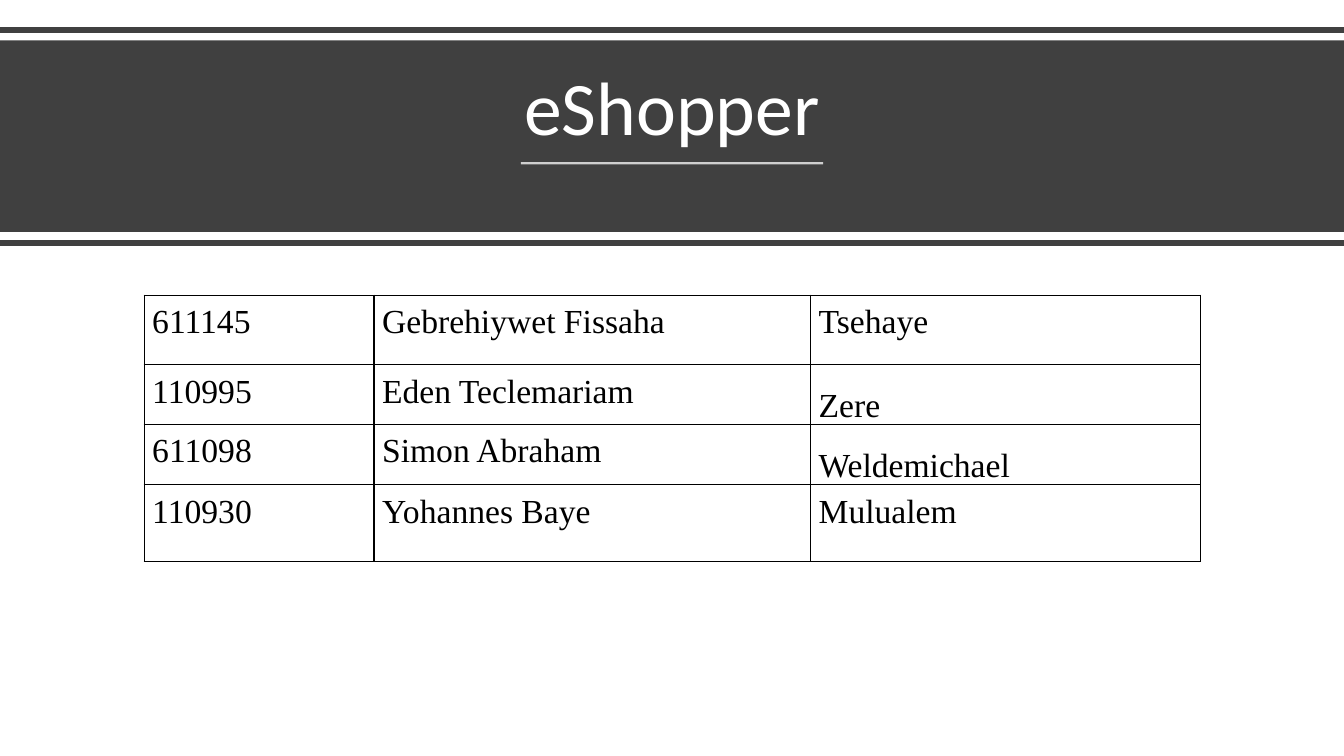
from dataclasses import dataclass

from lxml.etree import SubElement
from pptx import Presentation
from pptx.dml.color import RGBColor
from pptx.enum.shapes import MSO_CONNECTOR, MSO_SHAPE
from pptx.enum.text import MSO_ANCHOR, MSO_AUTO_SIZE, PP_ALIGN
from pptx.oxml.ns import qn
from pptx.util import Inches, Pt


@dataclass(frozen=True)
class Theme:
    """Colours, fonts and type sizes of the slide."""
    band: RGBColor = RGBColor(0x40, 0x40, 0x40)
    light: RGBColor = RGBColor(0xFF, 0xFF, 0xFF)
    ink: RGBColor = RGBColor(0, 0, 0)
    title_font: str = "Calibri"
    member_font: str = "Times New Roman"
    title_size: int = 54
    member_size: int = 24


THEME = Theme()
SLIDE_WIDTH, SLIDE_HEIGHT = 13.33, 7.5
MEMBERS = [
    ("611145", "Gebrehiywet Fissaha", "Tsehaye"),
    ("110995", "Eden Teclemariam", "Zere"),
    ("611098", "Simon Abraham", "Weldemichael"),
    ("110930", "Yohannes Baye", "Mulualem"),
]
COLUMN_WIDTHS = [2.28, 4.33, 3.87]
ROW_HEIGHTS = [0.69, 0.59, 0.6, 0.76]
LOW_SURNAMES = ("Zere", "Weldemichael")


def style_text(paragraph, font, size, color, spacing):
    """Format a whole paragraph."""
    paragraph.font.name = font
    paragraph.font.size = Pt(size)
    paragraph.font.color.rgb = color
    paragraph.line_spacing = spacing


def add_rule(slide, left, top, width, color, weight, opacity=100):
    """Draw a horizontal line without a shadow."""
    rule = slide.shapes.add_connector(
        MSO_CONNECTOR.STRAIGHT, Inches(left), Inches(top), Inches(left + width), Inches(top))
    rule.line.color.rgb = color
    rule.line.width = Pt(weight)
    properties = rule._element.spPr
    if opacity < 100:
        SubElement(next(properties.iter(qn("a:srgbClr"))), qn("a:alpha"), val=str(opacity * 1000))
    SubElement(properties, qn("a:effectLst"))


def add_header(slide, left, top, width, height):
    """Place the dark band, its framing rules and the underlined title."""
    band = slide.shapes.add_shape(
        MSO_SHAPE.RECTANGLE, Inches(left), Inches(top), Inches(width), Inches(height))
    band.shadow.inherit = False
    band.fill.solid()
    band.fill.fore_color.rgb = THEME.band
    band.line.fill.background()
    for rule_top in (top - 0.1, top + height + 0.11):
        add_rule(slide, left, rule_top, width, THEME.band, 4)

    title = slide.shapes.title
    slide.shapes._spTree.append(title._element)
    title.left, title.top = Inches(left + 0.58), Inches(top + 0.14)
    title.width, title.height = Inches(width - 1.16), Inches(1.02)
    title.text_frame.text = "eShopper"
    title.text_frame.auto_size = MSO_AUTO_SIZE.NONE
    title.text_frame.vertical_anchor = MSO_ANCHOR.BOTTOM
    heading = title.text_frame.paragraphs[0]
    heading.alignment = PP_ALIGN.CENTER
    style_text(heading, THEME.title_font, THEME.title_size, THEME.light, 0.9)
    add_rule(slide, left + width / 2 - 1.5, top + 1.22, 3, THEME.light, 1.5, opacity=75)


def add_borders(cell):
    """Give a cell a thin line on each side."""
    properties = cell._tc.get_or_add_tcPr()
    for position, side in enumerate(("a:lnL", "a:lnR", "a:lnT", "a:lnB")):
        border = SubElement(properties, qn(side), w=str(Pt(1)))
        SubElement(SubElement(border, qn("a:solidFill")), qn("a:srgbClr"), val=str(THEME.ink))
        properties.insert(position, border)


def add_members(slide, left, top, width, height):
    """Place the table of team members."""
    table = slide.shapes.add_table(
        len(MEMBERS), len(COLUMN_WIDTHS),
        Inches(left), Inches(top), Inches(width), Inches(height)).table
    table.first_row = table.horz_banding = False
    for column, column_width in zip(table.columns, COLUMN_WIDTHS):
        column.width = Inches(column_width)
    for row, row_height, member in zip(table.rows, ROW_HEIGHTS, MEMBERS):
        row.height = Inches(row_height)
        for cell, entry in zip(row.cells, member):
            cell.text = entry
            cell.fill.background()
            cell.margin_left = cell.margin_right = Inches(0.08)
            cell.margin_top, cell.margin_bottom = Inches(0.03), 0
            low = entry in LOW_SURNAMES
            cell.vertical_anchor = MSO_ANCHOR.BOTTOM if low else MSO_ANCHOR.TOP
            style_text(cell.text_frame.paragraphs[0],
                       THEME.member_font, THEME.member_size, THEME.ink, 1.15)
            add_borders(cell)


def build_team_slide(presentation):
    """Build the project title slide with its team."""
    slide = presentation.slides.add_slide(presentation.slide_layouts.get_by_name("Title Only"))
    slide.background.fill.solid()
    slide.background.fill.fore_color.rgb = THEME.light
    add_header(slide, 0, 0.4, SLIDE_WIDTH, 1.9)
    add_members(slide, 1.43, 2.93, sum(COLUMN_WIDTHS), sum(ROW_HEIGHTS))


presentation = Presentation()
presentation.slide_width = Inches(SLIDE_WIDTH)
presentation.slide_height = Inches(SLIDE_HEIGHT)
build_team_slide(presentation)
presentation.save("out.pptx")
